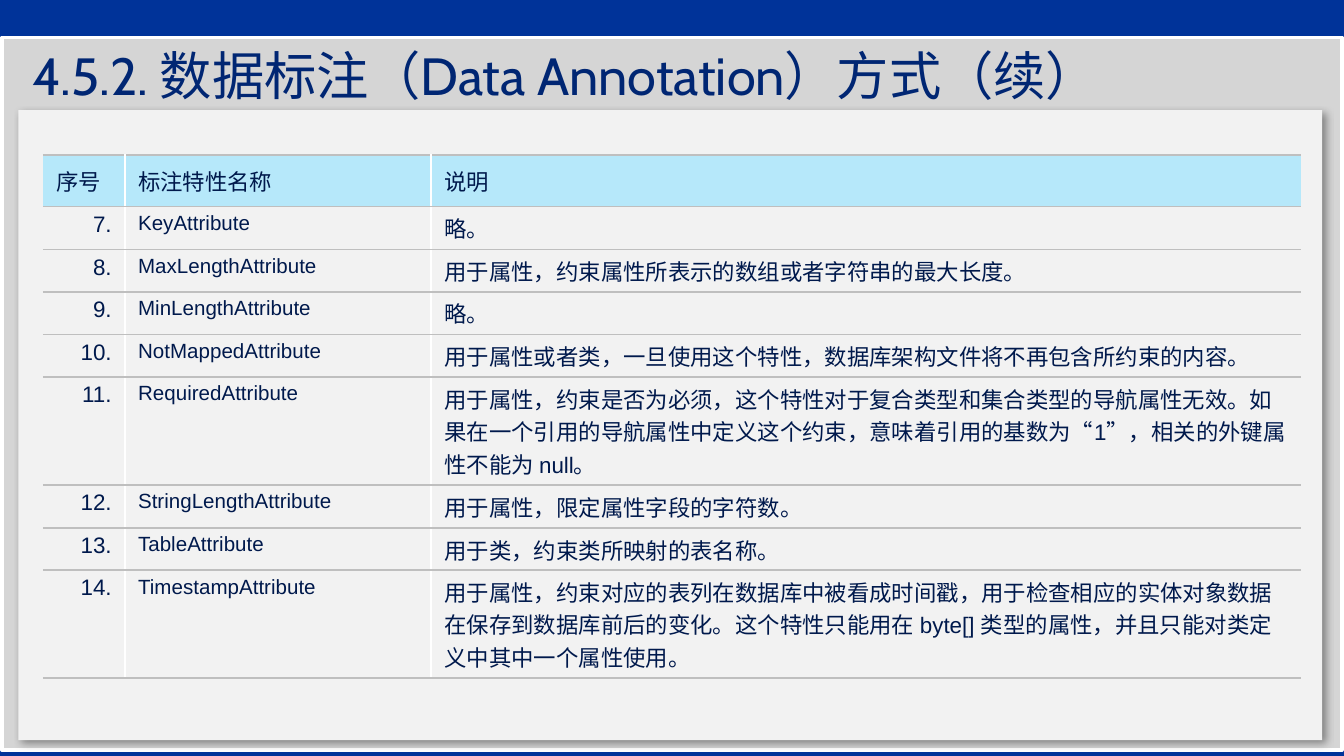
"""Build the slide listing data annotation attributes 7 to 14."""
from lxml.etree import SubElement
from pptx import Presentation
from pptx.dml.color import RGBColor
from pptx.enum.shapes import MSO_SHAPE
from pptx.enum.text import MSO_ANCHOR, PP_ALIGN
from pptx.oxml import parse_xml
from pptx.oxml.ns import nsdecls, qn
from pptx.util import Cm, Pt

COLORS = {
    "background": "003399",
    "frame": "D5D5D5",
    "panel": "F2F2F2",
    "white": "FFFFFF",
    "title": "002673",
    "text": "00194C",
    "header": "B6E8FA",
    "rule": "BFBFBF",
}
HEADERS = ("序号", "标注特性名称", "说明")
ATTRIBUTES = (
    ("KeyAttribute", "略。"),
    ("MaxLengthAttribute", "用于属性，约束属性所表示的数组或者字符串的最大长度。"),
    ("MinLengthAttribute", "略。"),
    ("NotMappedAttribute", "用于属性或者类，一旦使用这个特性，数据库架构文件将不再包含所约束的内容。"),
    ("RequiredAttribute", "用于属性，约束是否为必须，这个特性对于复合类型和集合类型的导航属性无效。"
     "如果在一个引用的导航属性中定义这个约束，意味着引用的基数为“1”，相关的外键属性不能为 null。"),
    ("StringLengthAttribute", "用于属性，限定属性字段的字符数。"),
    ("TableAttribute", "用于类，约束类所映射的表名称。"),
    ("TimestampAttribute", "用于属性，约束对应的表列在数据库中被看成时间戳，用于检查相应的实体对象数据"
     "在保存到数据库前后的变化。这个特性只能用在 byte[] 类型的属性，并且只能对类定义中其中一个属性使用。"),
)
FIRST_NUMBER = 7
COLUMN_WIDTHS = (1.55, 5.79, 16.43)
ROW_HEIGHTS = (0.97, 0.81, 0.8, 0.81, 0.8, 2.04, 0.81, 0.8, 2.04)


def style_text(paragraph, font, size, color):
    for span in paragraph.runs:
        span.font.name = font
        span.font.size = Pt(size)
        span.font.color.rgb = RGBColor.from_string(COLORS[color])


def set_borders(cell, edges):
    properties = cell._tc.get_or_add_tcPr()
    for position, (side, color) in enumerate(edges.items()):
        line = parse_xml(f'<a:ln{side} {nsdecls("a")} w="{Pt(1)}"/>')
        if color:
            fill = SubElement(line, qn("a:solidFill"))
            SubElement(fill, qn("a:srgbClr"), val=COLORS[color])
        else:
            SubElement(line, qn("a:noFill"))
        properties.insert(position, line)


deck = Presentation()
deck.slide_width, deck.slide_height = Cm(25.4), Cm(14.28)
page = deck.slides.add_slide(deck.slide_layouts[6])
page.background.fill.solid()
page.background.fill.fore_color.rgb = RGBColor.from_string(COLORS["background"])

frame = page.shapes.add_shape(MSO_SHAPE.RECTANGLE, Cm(0.04), Cm(0.71), Cm(25.32), Cm(13.46))
panel = page.shapes.add_shape(MSO_SHAPE.RECTANGLE, Cm(0.35), Cm(2.08), Cm(24.64), Cm(11.9))
for box, color in ((frame, "frame"), (panel, "panel")):
    box.shadow.inherit = False
    box.fill.solid()
    box.fill.fore_color.rgb = RGBColor.from_string(COLORS[color])
frame.line.color.rgb = RGBColor.from_string(COLORS["white"])
frame.line.width = Pt(2)
panel.line.fill.background()
effects = panel._element.spPr.find(qn("a:effectLst"))
shadow = SubElement(effects, qn("a:outerShdw"), blurRad=str(Pt(4)), dist=str(Pt(3)),
                    dir="2700000", algn="tl", rotWithShape="0")
shadow_color = SubElement(shadow, qn("a:srgbClr"), val="000000")
SubElement(shadow_color, qn("a:alpha"), val="40000")

title = page.shapes.add_textbox(Cm(0.36), Cm(0.91), Cm(24.61), Cm(1))
title.text_frame.word_wrap = True
title.text_frame.vertical_anchor = MSO_ANCHOR.MIDDLE
title.text_frame.text = "4.5.2. 数据标注（Data Annotation）方式（续）"
style_text(title.text_frame.paragraphs[0], "Cabin", 28, "title")

rows = [HEADERS]
for number, (name, description) in enumerate(ATTRIBUTES, FIRST_NUMBER):
    rows.append((f"{number}.", name, description))

table = page.shapes.add_table(len(rows), len(HEADERS), Cm(0.81), Cm(2.93),
                              Cm(sum(COLUMN_WIDTHS)), Cm(sum(ROW_HEIGHTS))).table
table.first_row = False
table.horz_banding = False
for column, width in zip(table.columns, COLUMN_WIDTHS):
    column.width = Cm(width)
for row, height in zip(table.rows, ROW_HEIGHTS):
    row.height = Cm(height)

last_column = len(HEADERS) - 1
for row_index, texts in enumerate(rows):
    for column_index, text in enumerate(texts):
        cell = table.cell(row_index, column_index)
        is_header = row_index == 0
        cell.margin_left = cell.margin_right = Cm(0.25)
        cell.margin_top = cell.margin_bottom = Cm(0.1)
        cell.vertical_anchor = MSO_ANCHOR.MIDDLE if is_header else MSO_ANCHOR.TOP
        if is_header:
            cell.fill.solid()
            cell.fill.fore_color.rgb = RGBColor.from_string(COLORS["header"])
        else:
            cell.fill.background()
        set_borders(cell, {
            "L": "white" if column_index > 0 else None,
            "R": "white" if column_index < last_column else None,
            "T": "rule",
            "B": "rule",
        })
        para = cell.text_frame.paragraphs[0]
        para.text = text
        if column_index == 0 and not is_header:
            para.alignment = PP_ALIGN.RIGHT
        size = 11 if column_index == 1 and not is_header else 12
        style_text(para, "Arial", size, "text")

deck.save("out.pptx")
